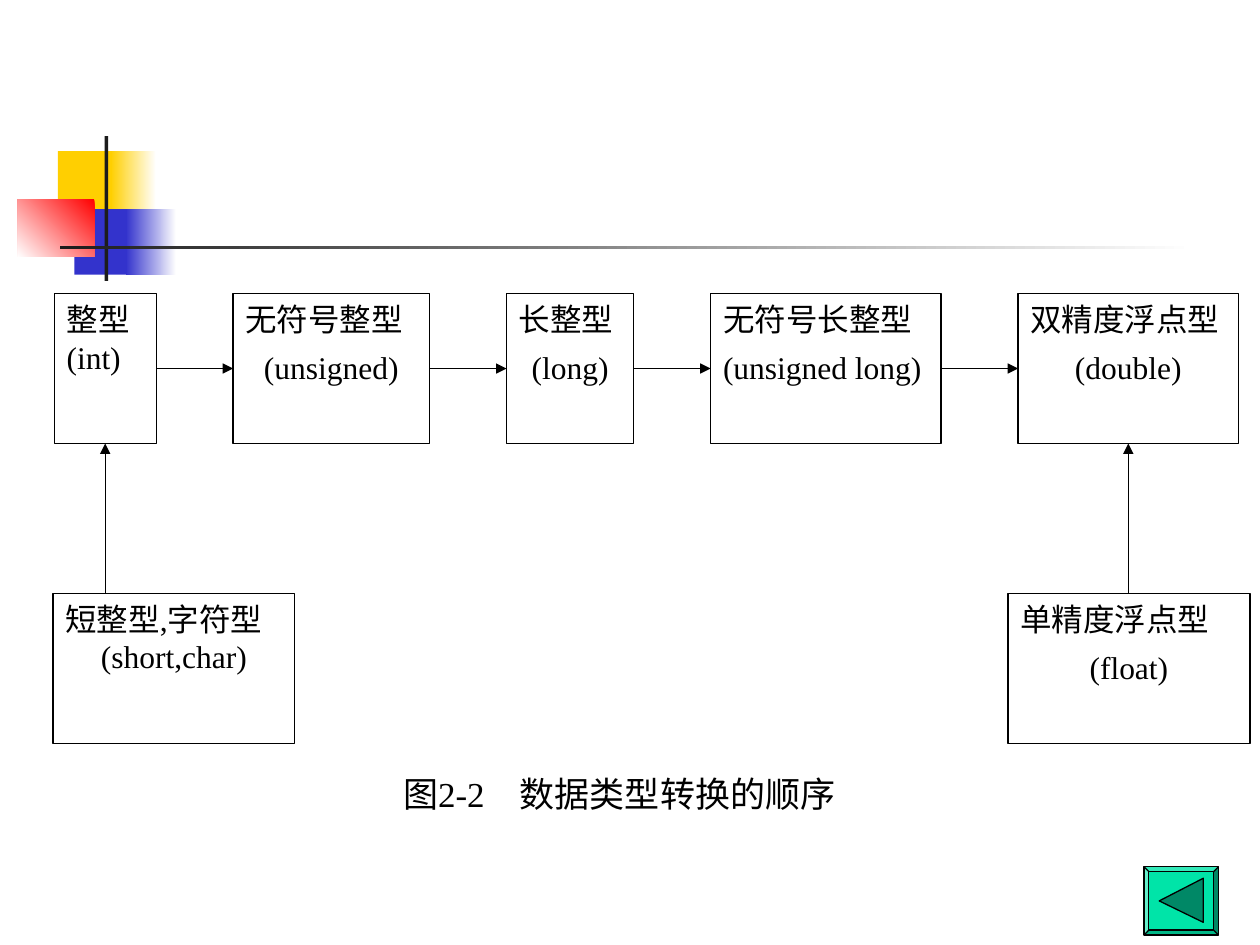
from lxml.etree import SubElement
from pptx import Presentation
from pptx.dml.color import RGBColor
from pptx.enum.shapes import MSO_CONNECTOR as Connector, MSO_SHAPE as Preset
from pptx.enum.text import MSO_ANCHOR as Anchor, PP_ALIGN as Align
from pptx.oxml.ns import qn
from pptx.util import Inches, Pt

COLORS = {
    "white": "FFFFFF", "black": "000000", "yellow": "FFCF01", "blue": "3333CC",
    "red": "FF0000", "bar": "1C1C1C", "button": "00E4A8", "triangle": "008866",
}
FONT = "Times New Roman"

# Type boxes: one row with equal gaps, and a second row beneath
ROW_LEFT, ROW_GAP = 0.43, 0.61
UPPER_TOP, LOWER_TOP, BOX_HEIGHT = 2.33, 4.71, 1.19
TOP, LEFT, BOTTOM, RIGHT = range(4)  # connection sites of a rectangle

# Chinese name, C name, box width, alignment of C name, spaced paragraphs
WIDENING_ROW = [
    ("整型", "(int)", 0.81, Align.JUSTIFY, False),
    ("无符号整型", "(unsigned)", 1.56, Align.CENTER, True),
    ("长整型", "(long)", 1.01, Align.CENTER, True),
    ("无符号长整型", "(unsigned long)", 1.83, Align.LEFT, True),
    ("双精度浮点型", "(double)", 1.75, Align.CENTER, True),
]
SHORT_TYPE = ("短整型,字符型", "(short,char)", 1.92, Align.CENTER, False)
FLOAT_TYPE = ("单精度浮点型", "(float)", 1.92, Align.CENTER, True)

# Decoration: left, top, width, height, colour, gradient stops, angle
DECORATION = [
    (0.46, 1.2, 0.48, 0.52, "yellow", None, 0),
    (0.88, 1.2, 0.36, 0.52, "yellow", ("white", "yellow"), 180),
    (0.59, 1.66, 0.46, 0.52, "blue", None, 0),
    (1, 1.66, 0.4, 0.52, "blue", ("white", "blue"), 180),
    (0.14, 1.58, 0.61, 0.46, "red", ("red", "white"), 225),
    (0.83, 1.08, 0.03, 1.15, "bar", None, 0),
    (0.48, 1.95, 9, 0.03, "bar", ("white", "bar"), 180),
]


def rgb(name):
    return RGBColor.from_string(COLORS[name])


def paint(shape, fill, line=None):
    shape.shadow.inherit = False
    shape.fill.solid()
    shape.fill.fore_color.rgb = rgb(fill)
    if line:
        shape.line.color.rgb = rgb(line)
        shape.line.width = Pt(0.75)
    else:
        shape.line.fill.background()


def add_preset(slide, preset, left, top, width, height, fill, line=None):
    shape = slide.shapes.add_shape(
        preset, Inches(left), Inches(top), Inches(width), Inches(height))
    paint(shape, fill, line)
    return shape


def style_paragraph(paragraph, align, size):
    paragraph.alignment = align
    for run in paragraph.runs:
        run.font.name = FONT
        run.font.size = Pt(size)
        run.font.color.rgb = rgb("black")


def add_decoration(slide):
    for left, top, width, height, color, stops, angle in DECORATION:
        block = add_preset(slide, Preset.RECTANGLE, left, top, width, height, color)
        if stops:
            block.fill.gradient()
            block.fill.gradient_angle = angle
            for stop, name in zip(block.fill.gradient_stops, stops):
                stop.color.rgb = rgb(name)


def add_type_box(slide, left, top, data_type):
    chinese, c_name, width, align, spaced = data_type
    box = add_preset(slide, Preset.RECTANGLE, left, top, width, BOX_HEIGHT,
                     "white", "black")
    frame = box.text_frame
    frame.word_wrap = True
    frame.vertical_anchor = Anchor.TOP
    frame.text = f"{chinese}\n{c_name}"
    name_line, c_line = frame.paragraphs
    style_paragraph(name_line, Align.JUSTIFY, 18)
    style_paragraph(c_line, align, 18)
    if spaced:
        c_line.space_before, c_line.space_after = Pt(6), Pt(4)
    return box


def add_arrow(slide, source, source_site, target, target_site):
    # Vertical arrows start below the middle of their target
    middle = target.left + target.width // 2
    arrow = slide.shapes.add_connector(
        Connector.STRAIGHT, middle, source.top, middle, target.top + target.height)
    if source_site == RIGHT:
        arrow.begin_connect(source, source_site)
    arrow.end_connect(target, target_site)
    arrow.line.color.rgb = rgb("black")
    arrow.line.width = Pt(0.75)
    SubElement(arrow.line._get_or_add_ln(), qn("a:tailEnd"), type="triangle")
    SubElement(arrow._element.spPr, qn("a:effectLst"))


def add_caption(slide, text):
    caption = slide.shapes.add_textbox(
        Inches(2.28), Inches(6.08), Inches(5.27), Inches(0.9))
    caption.text_frame.word_wrap = True
    caption.text_frame.text = text
    style_paragraph(caption.text_frame.paragraphs[0], Align.CENTER, 20)


def add_back_button(slide):
    frame = add_preset(slide, Preset.BEVEL, 9.08, 6.88, 0.59, 0.54, "button", "black")
    frame.adjustments[0] = 0.07
    builder = slide.shapes.build_freeform(Inches(9.2), Inches(7.15))
    builder.add_line_segments(
        [(Inches(9.55), Inches(6.97)), (Inches(9.55), Inches(7.32))], close=True)
    paint(builder.convert_to_shape(), "triangle", "black")


def main():
    prs = Presentation()
    prs.slide_width, prs.slide_height = Inches(10), Inches(7.5)
    slide = prs.slides.add_slide(prs.slide_layouts[6])
    add_decoration(slide)

    # Data types
    row, left = [], ROW_LEFT
    for data_type in WIDENING_ROW:
        row.append(add_type_box(slide, left, UPPER_TOP, data_type))
        left += data_type[2] + ROW_GAP
    short_box = add_type_box(slide, 0.42, LOWER_TOP, SHORT_TYPE)
    float_box = add_type_box(slide, 8, LOWER_TOP, FLOAT_TYPE)

    # Conversion order
    for source, target in zip(row, row[1:]):
        add_arrow(slide, source, RIGHT, target, LEFT)
    add_arrow(slide, short_box, TOP, row[0], BOTTOM)
    add_arrow(slide, float_box, TOP, row[-1], BOTTOM)

    add_caption(slide, "图2-2　数据类型转换的顺序")
    add_back_button(slide)
    prs.save("out.pptx")


if __name__ == "__main__":
    main()
